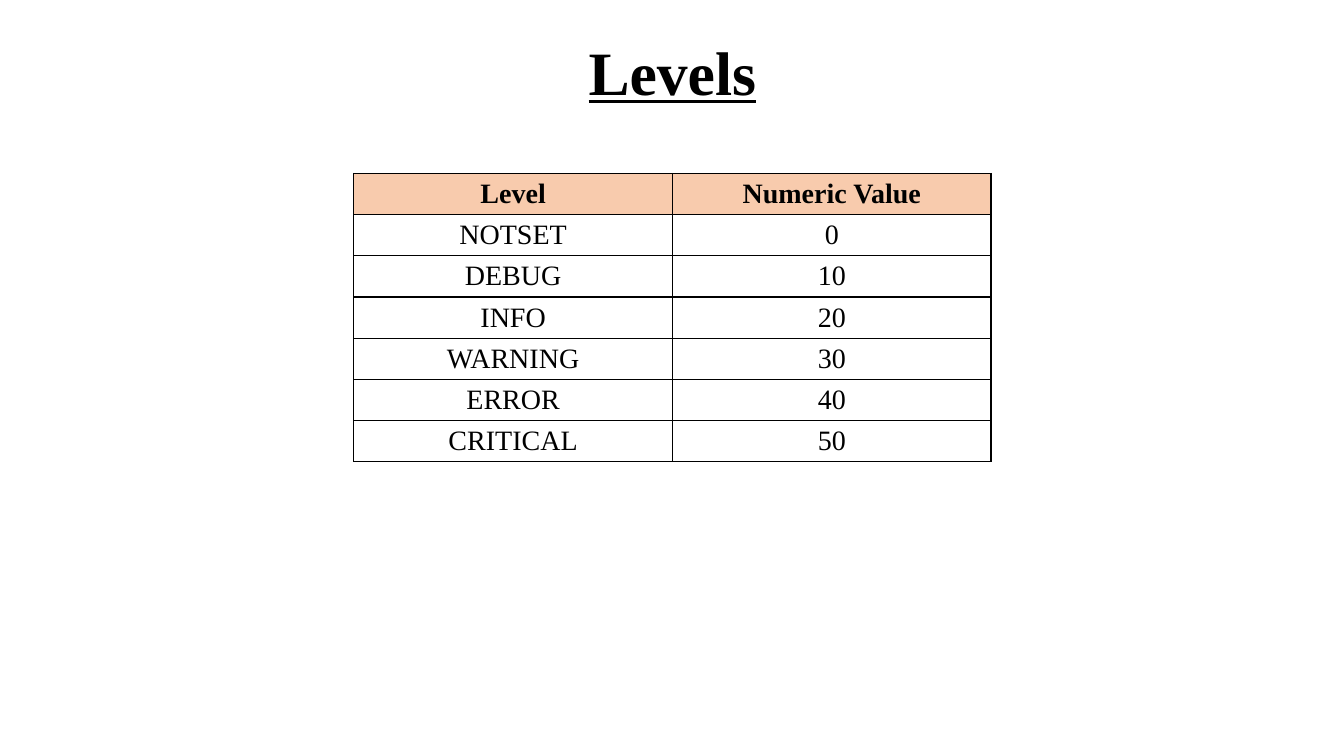
import pptx
import pptx.dml.color
import pptx.enum.text
import pptx.oxml
import pptx.oxml.ns
import pptx.util
from pptx.util import Inches

TITLE = "Levels"
ROWS = [
    ("Level", "Numeric Value"),
    ("NOTSET", "0"),
    ("DEBUG", "10"),
    ("INFO", "20"),
    ("WARNING", "30"),
    ("ERROR", "40"),
    ("CRITICAL", "50"),
]
FONT = "Times New Roman"
BLACK, PEACH = "000000", "F8CBAD"
COL_W, ROW_H = 3.16, 0.4


def color(hex_string):
    return pptx.dml.color.RGBColor.from_string(hex_string)


def format_text(p, size, bold):
    p.alignment = pptx.enum.text.PP_ALIGN.CENTER
    p.font.name = FONT
    p.font.size = pptx.util.Pt(size)
    p.font.bold = bold
    p.font.color.rgb = color(BLACK)


def add_borders(cell):
    # Border lines come before the fill in the cell properties
    tc_pr = cell._tc.get_or_add_tcPr()
    for i, side in enumerate(("lnL", "lnR", "lnT", "lnB")):
        tc_pr.insert(i, pptx.oxml.parse_xml(
            f'<a:{side} {pptx.oxml.ns.nsdecls("a")} w="{pptx.util.Pt(1)}">'
            f'<a:solidFill><a:srgbClr val="{BLACK}"/></a:solidFill></a:{side}>'))


prs = pptx.Presentation()
prs.slide_width, prs.slide_height = Inches(13.33), Inches(7.5)
s = prs.slides.add_slide(prs.slide_layouts[5])

# Title
title = s.shapes.title
title.left, title.top = Inches(0.92), Inches(0.02)
title.width, title.height = Inches(11.5), Inches(1.45)
tf = title.text_frame
tf.text = TITLE
tf.vertical_anchor = pptx.enum.text.MSO_ANCHOR.MIDDLE
p = tf.paragraphs[0]
format_text(p, 44, True)
p.font.underline = True
p.line_spacing = 0.9

# Table of levels
n_cols = len(ROWS[0])
table = s.shapes.add_table(
    len(ROWS), n_cols, Inches(3.51), Inches(1.72),
    Inches(COL_W * n_cols), Inches(ROW_H * len(ROWS))).table
table.horz_banding = False
for r, row in enumerate(ROWS):
    for c, text in enumerate(row):
        cell = table.cell(r, c)
        cell.text = text
        format_text(cell.text_frame.paragraphs[0], 20, r == 0)
        if r == 0:
            cell.fill.solid()
            cell.fill.fore_color.rgb = color(PEACH)
        else:
            cell.fill.background()
        add_borders(cell)

prs.save("out.pptx")
